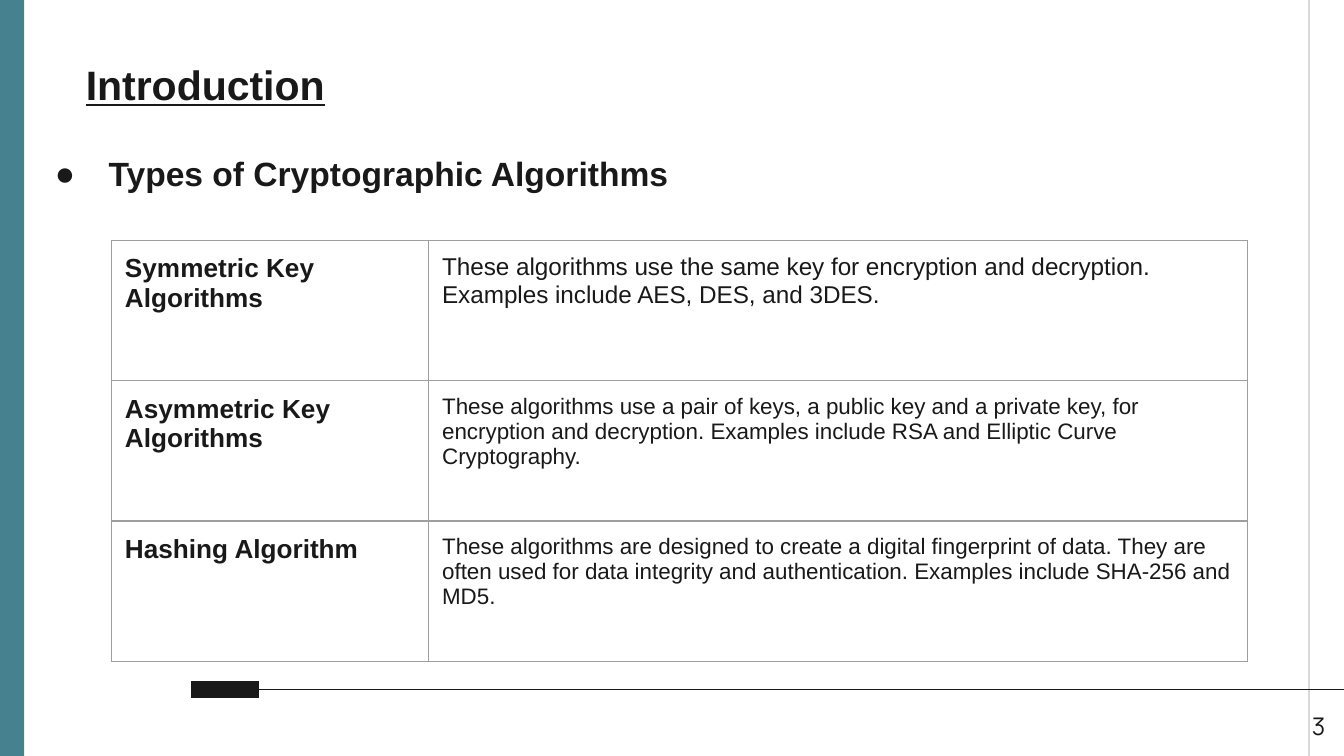
from lxml import etree
from pptx import Presentation
from pptx.dml.color import RGBColor
from pptx.enum.shapes import MSO_CONNECTOR as Connector, MSO_SHAPE as Shape
from pptx.enum.text import MSO_ANCHOR as Anchor, PP_ALIGN as Align
from pptx.oxml.ns import qn
from pptx.util import Inches, Pt

TEAL = RGBColor(0x45, 0x81, 0x8E)
INK = RGBColor(0x19, 0x19, 0x19)
RULE_GRAY = RGBColor(0xD9, 0xD9, 0xD9)
BORDER_GRAY = RGBColor(0x9E, 0x9E, 0x9E)

WIDTH = 10
HEIGHT = WIDTH * 9 / 16
INSET = Inches(0.1)
COLUMN_WIDTHS = (2.36, 6.09)
TABLE_HEIGHT = 3.13

# Name, description, description size
ALGORITHMS = [
    ("Symmetric Key Algorithms",
     "These algorithms use the same key for encryption and decryption. "
     "Examples include AES, DES, and 3DES.", 13),
    ("Asymmetric Key Algorithms",
     "These algorithms use a pair of keys, a public key and a private key, for "
     "encryption and decryption. Examples include RSA and Elliptic Curve "
     "Cryptography.", 12),
    ("Hashing Algorithm",
     "These algorithms are designed to create a digital fingerprint of data. "
     "They are often used for data integrity and authentication. Examples "
     "include SHA-256 and MD5.", 12),
]


def set_attributes(target, values):
    for name, value in values.items():
        setattr(target, name, value)


def set_margins(target):
    set_attributes(target, {
        "margin_left": INSET, "margin_right": INSET,
        "margin_top": INSET, "margin_bottom": INSET,
    })


def write_text(paragraph, text, size, font="Arial", **format_values):
    run = paragraph.add_run()
    run.text = text
    set_attributes(run.font, {"name": font, "size": Pt(size), **format_values})
    run.font.color.rgb = INK


def add_text_box(slide, box, anchor):
    frame = slide.shapes.add_textbox(*map(Inches, box)).text_frame
    set_attributes(frame, {"word_wrap": True, "vertical_anchor": anchor})
    set_margins(frame)
    return frame.paragraphs[0]


def add_line(slide, start, end, color, width):
    line = slide.shapes.add_connector(
        Connector.STRAIGHT, *map(Inches, (*start, *end)))
    line.line.color.rgb = color
    line.line.width = Pt(width)
    etree.SubElement(line._element.spPr, qn("a:effectLst"))


def add_bullet(paragraph, left, hanging):
    properties = paragraph._p.get_or_add_pPr()
    properties.set("marL", str(Inches(left)))
    properties.set("indent", str(-Inches(hanging)))
    color = etree.SubElement(properties, qn("a:buClr"))
    etree.SubElement(color, qn("a:srgbClr"), val=str(INK))
    etree.SubElement(properties, qn("a:buFont"), typeface="Arial")
    etree.SubElement(properties, qn("a:buChar"), char="●")


def add_borders(cell):
    properties = cell._tc.get_or_add_tcPr()
    for position, side in enumerate(("a:lnL", "a:lnR", "a:lnT", "a:lnB")):
        border = etree.Element(qn(side), w=str(Pt(0.75)))
        fill = etree.SubElement(border, qn("a:solidFill"))
        etree.SubElement(fill, qn("a:srgbClr"), val=str(BORDER_GRAY))
        properties.insert(position, border)


def add_frame(slide, left, top, width, height):
    # Left band and right margin rule
    band = slide.shapes.add_shape(
        Shape.RECTANGLE, *map(Inches, (left, top, 0.18, height)))
    band.shadow.inherit = False
    band.fill.solid()
    band.fill.fore_color.rgb = TEAL
    band.line.fill.background()
    rule_x = left + width - 0.26
    add_line(slide, (rule_x, top - 0.04), (rule_x, top + height + 0.04),
             RULE_GRAY, 0.75)


def add_heading(slide, left, top):
    # Title and bulleted subtitle
    title = add_text_box(slide, (left + 0.33, top, 8.43, 0.63), Anchor.TOP)
    write_text(title, "Introduction", 22, bold=True, underline=True)
    subtitle = add_text_box(slide, (left, top + 0.74, 8.11, 0.42), Anchor.MIDDLE)
    add_bullet(subtitle, 0.5, 0.4)
    write_text(subtitle, "Types of Cryptographic Algorithms", 18, bold=True)


def add_algorithm_table(slide, left, top, height):
    table = slide.shapes.add_table(
        len(ALGORITHMS), len(COLUMN_WIDTHS),
        *map(Inches, (left, top, sum(COLUMN_WIDTHS), height))).table
    set_attributes(table, {"first_row": False, "horz_banding": False})
    for column, column_width in zip(table.columns, COLUMN_WIDTHS):
        column.width = Inches(column_width)
    for row, (name, description, size) in zip(table.rows, ALGORITHMS):
        name_cell, description_cell = row.cells
        write_text(name_cell.text_frame.paragraphs[0], name, 14, bold=True)
        write_text(description_cell.text_frame.paragraphs[0], description, size,
                   bold=False)
        for cell in row.cells:
            set_margins(cell)
            cell.fill.background()
            add_borders(cell)


def add_footer(slide, left, top, right):
    # Thick tab, thin rule and page number
    tab_end = left + 0.51
    add_line(slide, (left, top), (tab_end, top), INK, 9)
    add_line(slide, (tab_end, top), (right + 0.05, top), INK, 0.75)
    number = add_text_box(slide, (right - 0.64, top + 0.06, 0.6, 0.43), Anchor.TOP)
    number.alignment = Align.RIGHT
    write_text(number, "3", 13, font="Manrope")


def main():
    presentation = Presentation()
    presentation.slide_width = Inches(WIDTH)
    presentation.slide_height = Inches(HEIGHT)
    slide = presentation.slides.add_slide(presentation.slide_layouts[6])
    add_frame(slide, 0, 0, WIDTH, HEIGHT)
    add_heading(slide, 0.21, 0.34)
    add_algorithm_table(slide, 0.83, 1.79, TABLE_HEIGHT)
    add_footer(slide, 1.42, 5.13, WIDTH)
    presentation.save("out.pptx")


if __name__ == "__main__":
    main()
